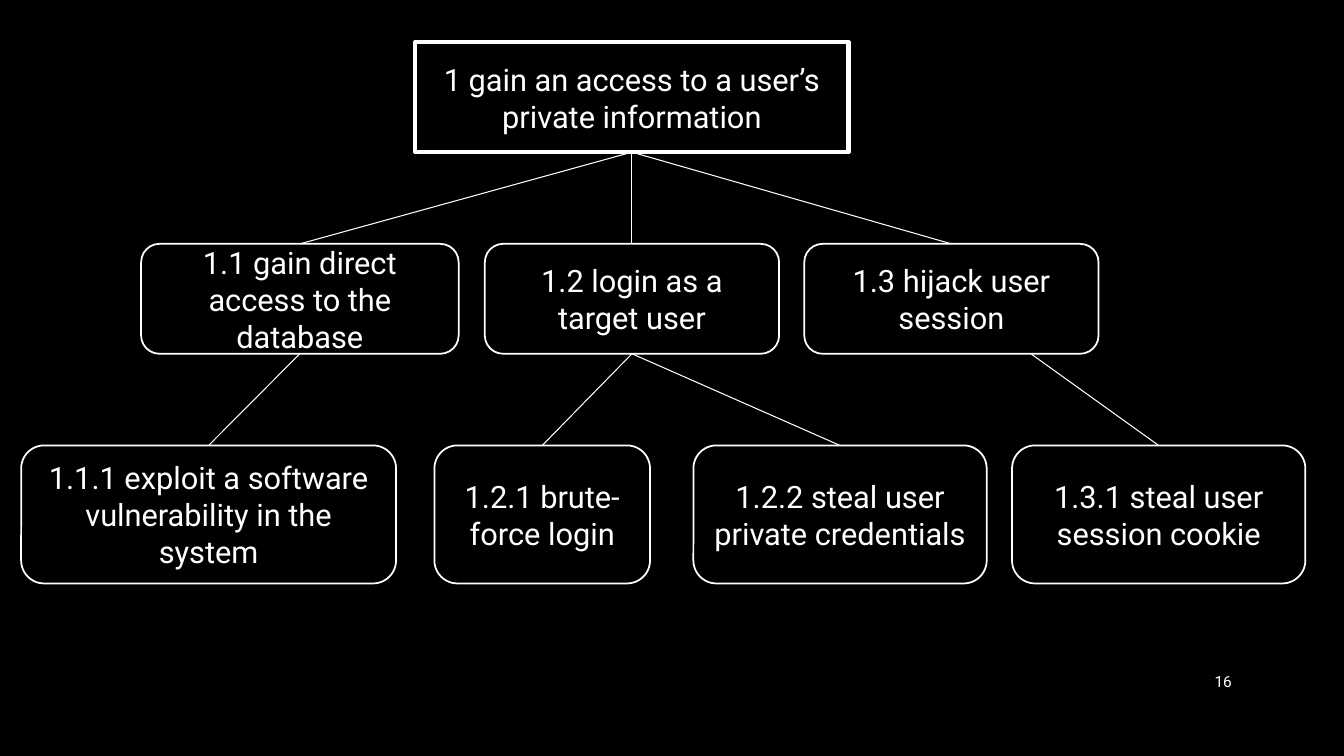
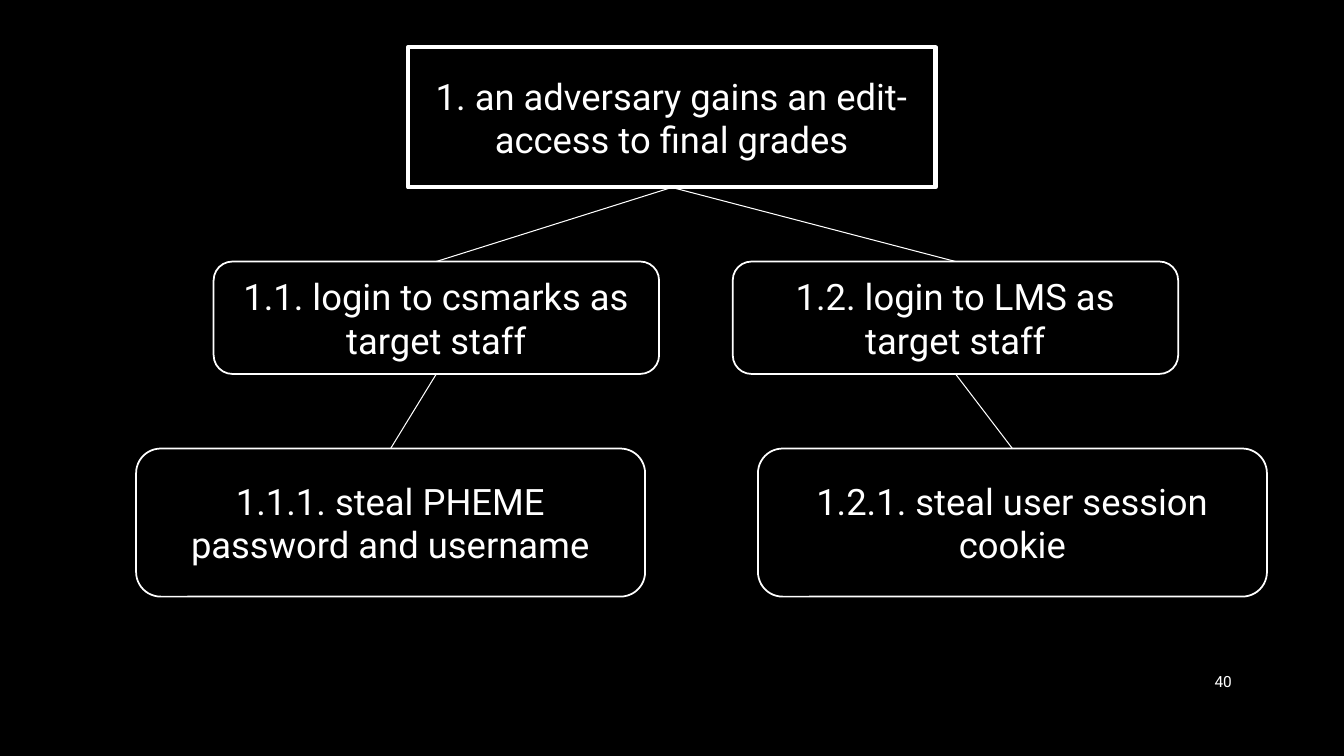
import dataclasses

import pptx
import pptx.dml.color
import pptx.enum.shapes
import pptx.enum.text
import pptx.oxml
import pptx.oxml.ns
import pptx.util

Pt = pptx.util.Pt
SHAPE = pptx.enum.shapes.MSO_SHAPE
ALIGN = pptx.enum.text.PP_ALIGN
BLACK = pptx.dml.color.RGBColor(0x00, 0x00, 0x00)
WHITE = pptx.dml.color.RGBColor(0xFF, 0xFF, 0xFF)
FONT = "Roboto"
TOP_SITE, BOTTOM_SITE = 0, 2


@dataclasses.dataclass
class Goal:
    """One goal of an attack tree, placed across its tree."""
    text: str
    left: float
    width: float
    subgoals: tuple = ()
    exit: float = 0.5


@dataclasses.dataclass
class Tree:
    """An attack tree with its box corner, levels as (top, height), and page."""
    root: Goal
    left: float
    top: float
    levels: tuple
    size: float
    page: str


USER_DATA = Tree(
    Goal("1 gain an access to a user’s private information", 281.5, 309.6, (
        Goal("1.1 gain direct access to the database", 85.7, 226.8, (
            Goal("1.1.1 exploit a software vulnerability in the system", 0, 267.8),
        )),
        Goal("1.2 login as a target user", 331.2, 210.2, (
            Goal("1.2.1 brute-force login", 295.2, 154),
            Goal("1.2.2 steal user private credentials", 480.2, 209.5),
        )),
        Goal("1.3 hijack user session", 559.4, 210.2, (
            Goal("1.3.1 steal user session cookie", 707.8, 209.5),
        ), exit=0.77),
    )),
    left=15.1, top=30.2, levels=((0, 78.5), (144, 78.5), (288, 98.6)),
    size=22, page="16")

FINAL_GRADES = Tree(
    Goal("1. an adversary gains an edit-access to final grades", 194.4, 376.6, (
        Goal("1.1. login to csmarks as target staff", 55.4, 318.2, (
            Goal("1.1.1. steal PHEME password and username", 0, 363.6),
        )),
        Goal("1.2. login to LMS as\ntarget staff", 426.2, 318.2, (
            Goal("1.2.1. steal user session cookie", 444.2, 363.6),
        )),
    )),
    left=97.2, top=33.8, levels=((0, 100.1), (153, 80.3), (286.6, 105.8)),
    size=26, page="40")


def write(shape, text, *, size, align=ALIGN.CENTER):
    """Fill a shape with vertically centred text, one paragraph a line."""
    frame = shape.text_frame
    frame.word_wrap = True
    frame.vertical_anchor = pptx.enum.text.MSO_ANCHOR.MIDDLE
    frame.text = text
    for paragraph in frame.paragraphs:
        paragraph.alignment = align
        paragraph.font.name = FONT
        paragraph.font.size = Pt(size)
        paragraph.font.color.rgb = WHITE


def add_goal(slide, tree, goal, depth):
    """Draw the box of one goal on its level."""
    top, height = tree.levels[depth]
    outline = SHAPE.ROUNDED_RECTANGLE if depth else SHAPE.RECTANGLE
    box = slide.shapes.add_shape(outline, Pt(tree.left + goal.left), Pt(tree.top + top),
                                 Pt(goal.width), Pt(height))
    box.shadow.inherit = False
    box.fill.solid()
    box.fill.fore_color.rgb = BLACK
    box.line.color.rgb = WHITE
    box.line.width = Pt(1.25 if depth else 3)
    write(box, goal.text, size=tree.size)
    return box


def add_branch(slide, parent, child, exit_share):
    """Join the bottom of a parent box to the top of a child box."""
    branch = slide.shapes.add_connector(
        pptx.enum.shapes.MSO_CONNECTOR.STRAIGHT,
        parent.left + int(parent.width * exit_share), parent.top + parent.height,
        child.left + child.width // 2, child.top)
    if exit_share == 0.5:
        branch.begin_connect(parent, BOTTOM_SITE)
    branch.end_connect(child, TOP_SITE)
    branch.line.color.rgb = WHITE
    branch.line.width = Pt(0.75)
    properties = branch.element.find(pptx.oxml.ns.qn("p:spPr"))
    properties.append(pptx.oxml.parse_xml(
        "<a:effectLst %s/>" % pptx.oxml.ns.nsdecls("a")))


def add_subtree(slide, tree, goal, depth=0):
    """Draw a goal, its subgoals and the branches between them."""
    box = add_goal(slide, tree, goal, depth)
    for subgoal in goal.subgoals:
        child = add_subtree(slide, tree, subgoal, depth + 1)
        add_branch(slide, box, child, goal.exit)
    return box


def add_tree_slide(deck, tree):
    """Add a slide with one attack tree and its page number."""
    slide = deck.slides.add_slide(deck.slide_layouts[6])
    page = slide.shapes.add_textbox(Pt(828), Pt(472.3), Pt(59), Pt(28.8))
    write(page, tree.page, size=11, align=ALIGN.RIGHT)
    add_subtree(slide, tree, tree.root)


def main():
    """Build the deck and save it."""
    deck = pptx.Presentation()
    deck.slide_width, deck.slide_height = Pt(960), Pt(540)
    backdrop = deck.slide_master.background.fill
    backdrop.solid()
    backdrop.fore_color.rgb = BLACK
    for tree in (USER_DATA, FINAL_GRADES):
        add_tree_slide(deck, tree)
    deck.save("out.pptx")


if __name__ == "__main__":
    main()
